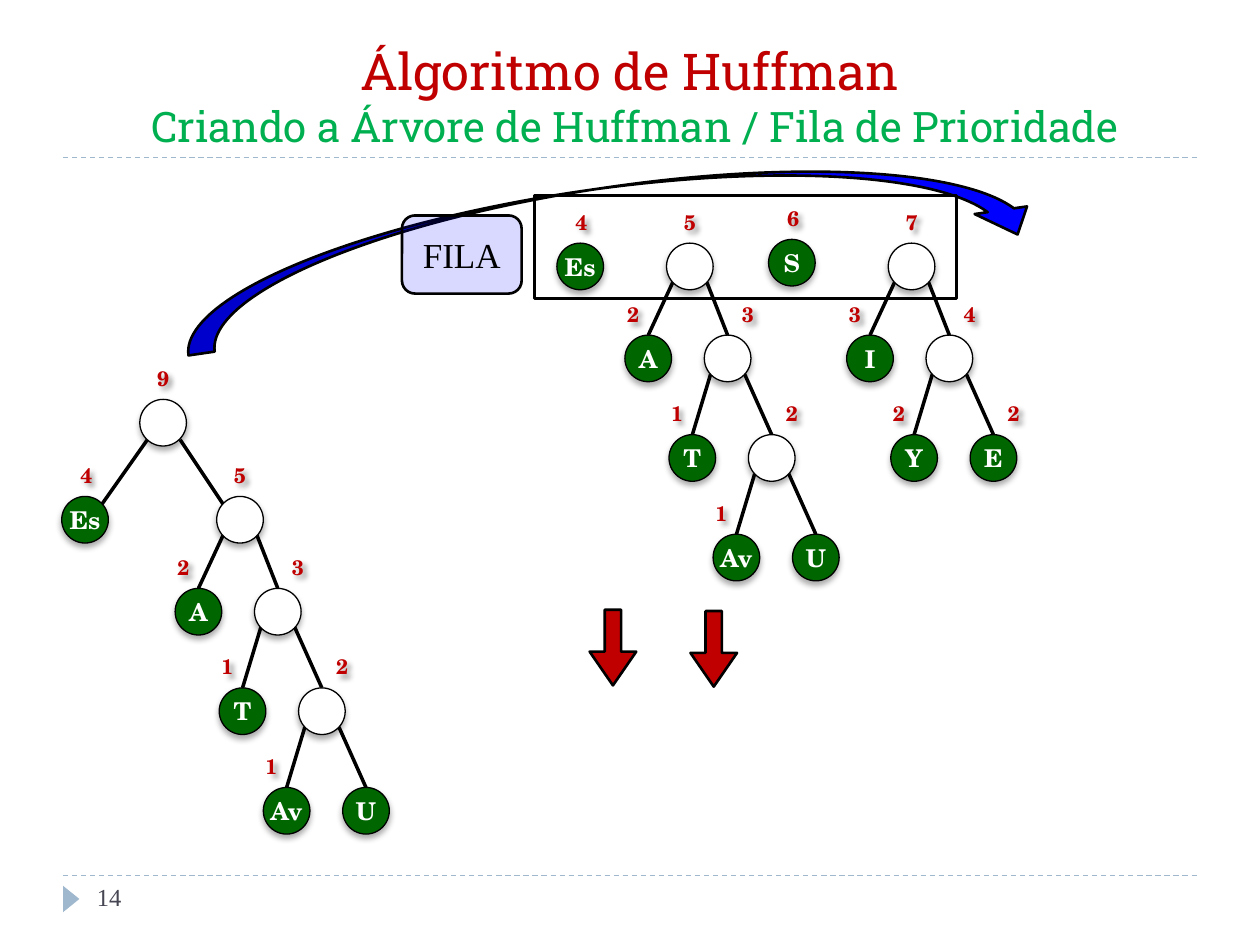
"""Build the slide on the Huffman tree and its priority queue."""
from lxml.etree import SubElement
from pptx import Presentation
from pptx.dml.color import RGBColor
from pptx.enum.dml import MSO_LINE
from pptx.enum.shapes import MSO_CONNECTOR, MSO_SHAPE
from pptx.enum.text import MSO_ANCHOR, MSO_AUTO_SIZE, PP_ALIGN
from pptx.oxml.ns import qn
from pptx.util import Inches, Pt

RED = RGBColor(0xC0, 0x00, 0x00)
LIME = RGBColor(0x00, 0xB0, 0x50)
GREEN = RGBColor(0x00, 0x66, 0x00)
BLUE = RGBColor(0x00, 0x00, 0xFF)
STEEL = RGBColor(0x9F, 0xB8, 0xCD)
SLATE = RGBColor(0x46, 0x46, 0x53)
BLACK = RGBColor(0x00, 0x00, 0x00)
WHITE = RGBColor(0xFF, 0xFF, 0xFF)
SLAB = "Roboto Slab"
SCHOLA = "TeX Gyre Schola"
TIMES = "Times New Roman"
DISC = 0.37

FIVE = ("5", "", ("2", "A"), ("3", "", ("1", "T"), ("2", "", ("1", "Av"), ("", "U"))))
SEVEN = ("7", "", ("3", "I"), ("4", "", ("2", "Y"), ("2", "E")))


def style(run, font, size, color, bold=False):
    """Format one run of text."""
    run.font.name = font
    run.font.size = Pt(size)
    run.font.color.rgb = color
    run.font.bold = bold


def write(shape, text, font, size, color, bold=False, align=PP_ALIGN.CENTER):
    """Put one line of text in a shape."""
    frame = shape.text_frame
    frame.word_wrap = True
    frame.vertical_anchor = MSO_ANCHOR.MIDDLE
    para = frame.paragraphs[0]
    para.text = text
    para.alignment = align
    style(para.runs[0], font, size, color, bold)


def shade(shape, alpha, blur, dist, angle):
    """Give a shape a soft black shadow."""
    props = shape.element.spPr
    effects = props.find(qn("a:effectLst"))
    if effects is None:
        effects = SubElement(props, qn("a:effectLst"))
    cast = SubElement(effects, qn("a:outerShdw"), blurRad=str(Pt(blur)),
                      dist=str(Pt(dist)), dir=str(angle * 60000), rotWithShape="0")
    tint = SubElement(cast, qn("a:srgbClr"), val=str(BLACK))
    SubElement(tint, qn("a:alpha"), val=str(alpha * 1000))


def add_form(shapes, kind, box, fill=None, width=1.5, turn=0, adjust=()):
    """Add a preset shape with a plain fill and a black line."""
    form = shapes.add_shape(kind, *map(Inches, box))
    form.shadow.inherit = False
    form.rotation = turn
    for index, value in enumerate(adjust):
        form.adjustments[index] = value
    if fill is None:
        form.fill.background()
    else:
        form.fill.solid()
        form.fill.fore_color.rgb = fill
    if width:
        form.line.color.rgb = BLACK
        form.line.width = Pt(width)
    else:
        form.line.fill.background()
    return form


def add_line(shapes, start, end, color=BLACK, width=2):
    """Add a straight line between two points."""
    line = shapes.add_connector(MSO_CONNECTOR.STRAIGHT, *map(Inches, (*start, *end)))
    line.line.color.rgb = color
    line.line.width = Pt(width)
    SubElement(line.element.spPr, qn("a:effectLst"))
    return line


def add_rule(shapes, y):
    """Add a dashed rule across the slide."""
    rule = add_line(shapes, (0.5, y), (9.5, y), STEEL, 0.75)
    rule.line.dash_style = MSO_LINE.DASH


def add_node(shapes, count, name, x, y, shift=-0.02):
    """Add a disc, green if it has a name, with its count above."""
    disc = add_form(shapes, MSO_SHAPE.OVAL, (x, y, DISC, DISC),
                    GREEN if name else WHITE, 0.75)
    shade(disc, 32, 3.5, 2.2, 90)
    if name:
        frame = disc.text_frame
        frame.margin_left = frame.margin_right = 0
        frame.margin_top = frame.margin_bottom = 0
        write(disc, name, SCHOLA, 14, WHITE, True)
    if count:
        label = shapes.add_textbox(*map(Inches, (x + shift, y - 0.32, 0.41, 0.3)))
        write(label, count, SCHOLA, 12, RED, True)
        shade(label, 40, 3, 3, 45)


def add_tree(shapes, node, x, y, shift=-0.02, steps=(-0.33, 0.3, 0.73)):
    """Add a node and, below it, its branches."""
    count, name, *kids = node
    sides = zip(kids, steps, (0.05, 0.32), (-0.14, 0.14))
    spots = [(kid, x + step, y + steps[2], foot, lean) for kid, step, foot, lean in sides]
    for _, left, top, foot, _ in spots:
        add_line(shapes, (left + DISC / 2, top), (x + foot, y + 0.31))
    add_node(shapes, count, name, x, y, shift)
    for kid, left, top, _, lean in spots:
        add_tree(shapes, kid, left, top, lean, (-0.28, 0.35, 0.79))


def add_title(slide):
    """Fill the title with its two lines."""
    title = slide.shapes.title
    title.left, title.top, title.width, title.height = map(Inches, (0.5, 0.25, 9, 1))
    frame = title.text_frame
    frame.auto_size = MSO_AUTO_SIZE.NONE
    frame.vertical_anchor = MSO_ANCHOR.BOTTOM
    para = frame.paragraphs[0]
    para.text = "Álgoritmo de Huffman\v Criando a Árvore de Huffman / Fila de Prioridade"
    para.alignment = PP_ALIGN.CENTER
    style(para.runs[0], SLAB, 29, RED)
    style(para.runs[1], SLAB, 24, LIME)


def add_foot(shapes):
    """Add the page mark and number."""
    add_form(shapes, MSO_SHAPE.ISOSCELES_TRIANGLE, (0.46, 7.07, 0.21, 0.13), STEEL, 0, 90)
    page = shapes.add_textbox(*map(Inches, (0.67, 6.95, 2.17, 0.4)))
    write(page, "14", TIMES, 14, SLATE, align=PP_ALIGN.LEFT)
    page.text_frame.vertical_anchor = MSO_ANCHOR.TOP


def add_queue(shapes):
    """Add the return arrow, the queue frame and its tag."""
    add_form(shapes, MSO_SHAPE.CURVED_LEFT_ARROW, (4.41, -1.52, 0.84, 6.86), BLUE,
             turn=261.7, adjust=(0.25, 0.5, 0.25))
    add_form(shapes, MSO_SHAPE.RECTANGLE, (4.24, 1.55, 3.35, 0.82))
    tag = add_form(shapes, MSO_SHAPE.FLOWCHART_ALTERNATE_PROCESS,
                   (3.19, 1.71, 0.95, 0.62), BLUE)
    tint = tag.element.spPr.find(qn("a:solidFill")).find(qn("a:srgbClr"))
    SubElement(tint, qn("a:alpha"), val="15000")
    write(tag, "FILA", TIMES, 20, BLACK)


def add_merge(shapes):
    """Add the new tree that joins the two lowest counts."""
    x, y = 1.11, 3.17
    low = y + 0.77
    add_line(shapes, (0.81, low + 0.06), (x + 0.06, y + 0.32))
    add_line(shapes, (1.77, low + 0.06), (x + 0.32, y + 0.32))
    add_node(shapes, "9", "", x, y)
    add_node(shapes, "4", "Es", 0.49, low, -0.01)
    add_tree(shapes, FIVE, 1.72, low)


def main():
    """Build and save the slide."""
    deck = Presentation()
    deck.slide_width, deck.slide_height = Inches(10), Inches(7.5)
    slide = deck.slides.add_slide(deck.slide_layouts[5])
    shapes = slide.shapes
    for y in (6.95, 1.25):
        add_rule(shapes, y)
    add_title(slide)
    add_foot(shapes)
    add_node(shapes, "4", "Es", 4.42, 1.93, -0.01)
    add_node(shapes, "6", "S", 6.1, 1.9, -0.01)
    for tree, x in ((FIVE, 5.29), (SEVEN, 7.05)):
        add_tree(shapes.add_group_shape().shapes, tree, x, 1.93)
    for x, y in ((4.68, 4.84), (5.48, 4.85)):
        add_form(shapes, MSO_SHAPE.DOWN_ARROW, (x, y, 0.37, 0.6), RED, adjust=(0.35, 0.724))
    add_merge(shapes.add_group_shape().shapes)
    add_queue(shapes)
    deck.save("out.pptx")


if __name__ == "__main__":
    main()
